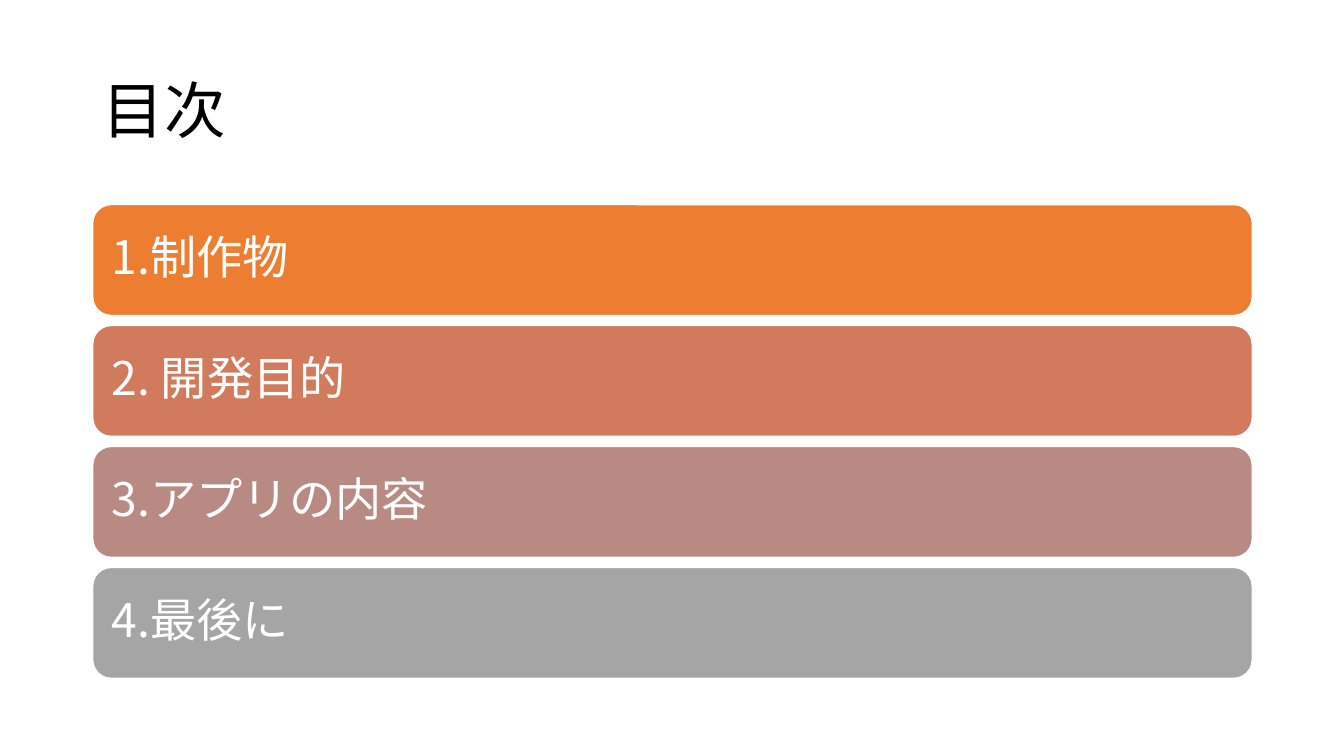
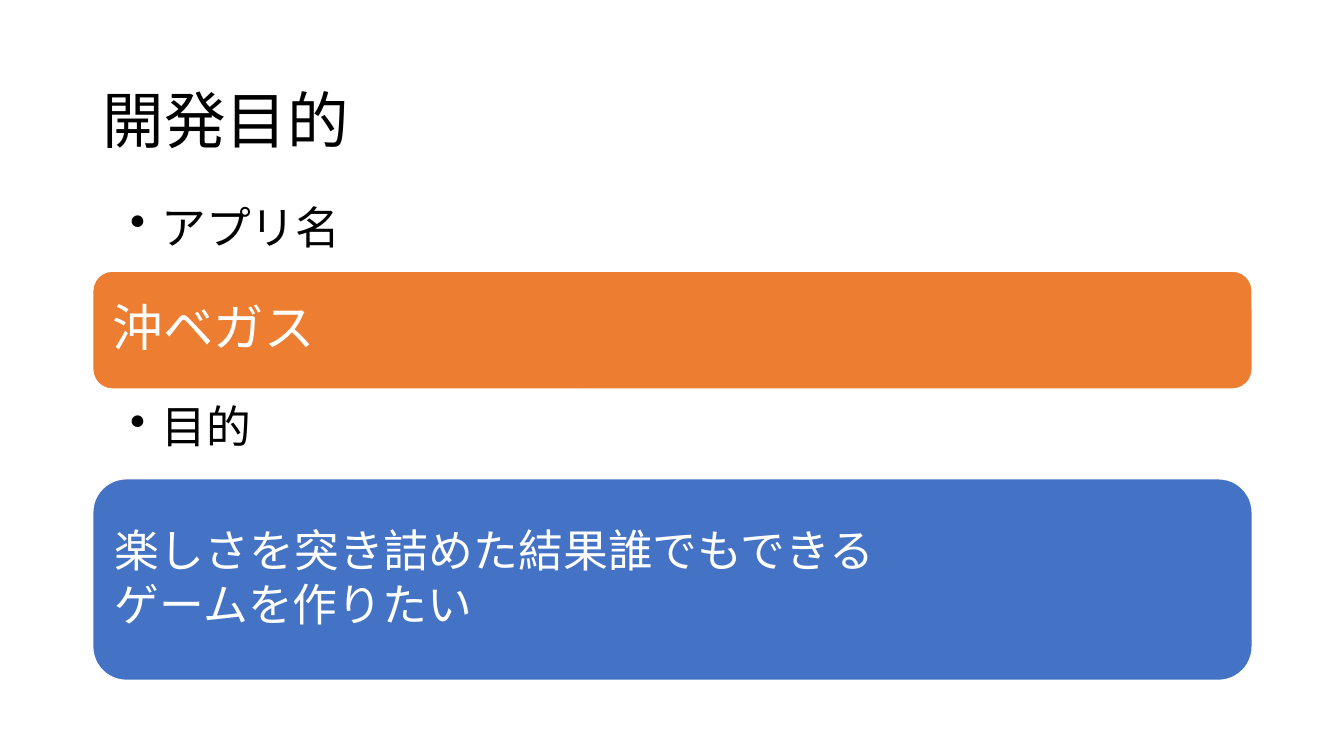
from dataclasses import dataclass

from lxml.etree import SubElement
from pptx import Presentation
from pptx.dml.color import RGBColor
from pptx.enum.shapes import MSO_SHAPE
from pptx.enum.text import MSO_ANCHOR, PP_ALIGN
from pptx.oxml.ns import qn
from pptx.slide import Slide
from pptx.text.text import TextFrame, _Paragraph
from pptx.util import Inches, Pt

FONT = "Noto Sans CJK JP"
COLORS = {
    "ink": "000000",
    "white": "FFFFFF",
    "orange": "ED7D31",
    "terracotta": "D17B5C",
    "rose": "B98A82",
    "gray": "A5A5A5",
    "blue": "4472C4",
}

# Shared column and contents grid
LEFT, WIDTH = 0.92, 11.5
TITLE_HEIGHT, HEADING_HEIGHT = 1.45, 0.78
CONTENTS_TOP, ENTRY_HEIGHT, ENTRY_GAP = 2.03, 1.1, 0.1


@dataclass(frozen=True)
class Bar:
    lines: tuple[str, ...]
    color: str
    top: float
    height: float
    size: int
    inset: float = 0.19


@dataclass(frozen=True)
class Heading:
    text: str
    top: float


def style_paragraph(paragraph: _Paragraph, text: str, size: int, color: str) -> None:
    paragraph.text = text
    paragraph.alignment = PP_ALIGN.LEFT
    paragraph.line_spacing = 0.9
    font = paragraph.font
    font.size = Pt(size)
    font.name = FONT
    font.color.rgb = RGBColor.from_string(COLORS[color])
    # East Asian text takes its typeface from its own element
    properties = paragraph._p.pPr.find(qn("a:defRPr"))
    SubElement(properties, qn("a:ea")).set("typeface", FONT)


def add_text_frame(slide: Slide, top: float, height: float) -> TextFrame:
    box = slide.shapes.add_textbox(
        Inches(LEFT), Inches(top), Inches(WIDTH), Inches(height)
    )
    box.text_frame.word_wrap = True
    return box.text_frame


def add_title(slide: Slide, text: str, top: float) -> None:
    frame = add_text_frame(slide, top, TITLE_HEIGHT)
    frame.vertical_anchor = MSO_ANCHOR.MIDDLE
    style_paragraph(frame.paragraphs[0], text, 44, "ink")


def add_bar(slide: Slide, bar: Bar) -> None:
    shape = slide.shapes.add_shape(
        MSO_SHAPE.ROUNDED_RECTANGLE,
        Inches(LEFT), Inches(bar.top), Inches(WIDTH), Inches(bar.height),
    )
    shape.shadow.inherit = False
    shape.fill.solid()
    shape.fill.fore_color.rgb = RGBColor.from_string(COLORS[bar.color])
    shape.line.color.rgb = RGBColor.from_string(COLORS["white"])
    shape.line.width = Pt(1)

    frame = shape.text_frame
    frame.word_wrap = True
    frame.vertical_anchor = MSO_ANCHOR.MIDDLE
    # The rounded corners already indent the text by part of the inset
    corner = min(bar.height, WIDTH) * shape.adjustments[0] * 0.29
    frame.margin_left = frame.margin_right = Inches(bar.inset - corner)
    for index, line in enumerate(bar.lines):
        paragraph = frame.add_paragraph() if index else frame.paragraphs[0]
        style_paragraph(paragraph, line, bar.size, "white")
        paragraph.space_after = Pt(4)


def add_heading(slide: Slide, heading: Heading) -> None:
    frame = add_text_frame(slide, heading.top, HEADING_HEIGHT)
    frame.margin_left, frame.margin_right = Inches(0.37), Inches(0.25)
    frame.margin_top = frame.margin_bottom = Inches(0.04)
    paragraph = frame.paragraphs[0]
    style_paragraph(paragraph, heading.text, 32, "ink")
    # Hanging bullet
    properties = paragraph._p.pPr
    properties.set("marL", str(Inches(0.31)))
    properties.set("indent", str(-Inches(0.31)))
    bullet = SubElement(properties, qn("a:buChar"))
    bullet.set("char", "•")
    properties.find(qn("a:defRPr")).addprevious(bullet)


def build_contents(slide: Slide) -> None:
    add_title(slide, "目次", 0.4)
    entries = (
        ("1.制作物", "orange"),
        ("2. 開発目的", "terracotta"),
        ("3.アプリの内容", "rose"),
        ("4.最後に", "gray"),
    )
    for index, (entry, color) in enumerate(entries):
        top = CONTENTS_TOP + index * (ENTRY_HEIGHT + ENTRY_GAP)
        add_bar(slide, Bar((entry,), color, top, ENTRY_HEIGHT, 33))


def build_purpose(slide: Slide) -> None:
    add_title(slide, "開発目的", 0.5)
    sections = (
        (
            Heading("アプリ名", 2.0),
            Bar(("沖ベガス",), "orange", 2.69, 1.17, 36, 0.2),
        ),
        (
            Heading("目的", 3.98),
            Bar(
                ("楽しさを突き詰めた結果誰でもできる", "ゲームを作りたい"),
                "blue", 4.75, 2.0, 32, 0.22,
            ),
        ),
    )
    for heading, bar in sections:
        add_bar(slide, bar)
        add_heading(slide, heading)


def main() -> None:
    presentation = Presentation()
    presentation.slide_width = Inches(13.33)
    presentation.slide_height = Inches(7.5)
    blank = presentation.slide_layouts[6]
    for build in (build_contents, build_purpose):
        build(presentation.slides.add_slide(blank))
    presentation.save("out.pptx")


if __name__ == "__main__":
    main()
